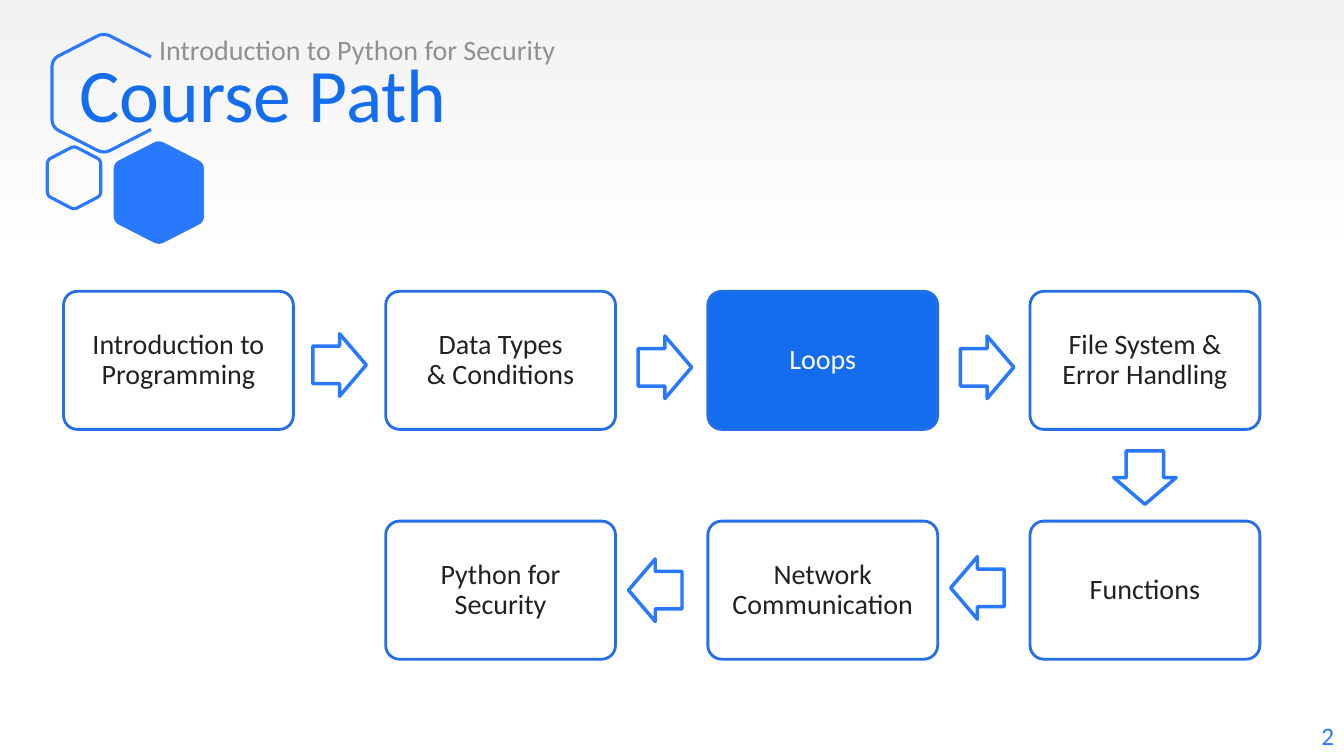
import dataclasses
import typing

import pptx
import pptx.dml.color
import pptx.enum.shapes
import pptx.enum.text
import pptx.util

SHAPES = pptx.enum.shapes.MSO_SHAPE
ALIGN = pptx.enum.text.PP_ALIGN
ANCHOR = pptx.enum.text.MSO_ANCHOR
Point = tuple[float, float]

SLIDE_WIDTH = pptx.util.Inches(13.33)
SLIDE_HEIGHT = pptx.util.Inches(7.5)
FONT = "Calibri"
BRIGHT = "2979FF"
STRONG = "136DEE"
BORDER = "256EE7"
WHITE = "FFFFFF"
INK = "212121"

FIRST_CENTRE = (13.28, 47.67)
PITCH = (23.97, 30.4)
STEP_SIZE = (17.1, 18.27)
HEXAGON_CORNERS = [(1, 0.56), (0, 1), (-1, 0.56), (-1, -0.56), (0, -1), (1, -0.56)]
CORNER_SHARE = 0.13
OPEN_END = 0.91


@dataclasses.dataclass(frozen=True)
class Hexagon:
    centre: Point
    radius: Point
    fill: typing.Optional[str] = None
    line: str = BRIGHT
    is_open: bool = False


@dataclasses.dataclass(frozen=True)
class Label:
    text: str
    place: tuple[float, float, float, float]
    size: int
    colour: str
    align: typing.Any = ALIGN.LEFT
    anchor: typing.Any = ANCHOR.TOP


@dataclasses.dataclass(frozen=True)
class Step:
    lines: tuple[str, ...]
    column: int
    row: int
    is_current: bool = False


@dataclasses.dataclass(frozen=True)
class Arrow:
    kind: typing.Any
    column: float
    row: float


HEXAGONS = [
    Hexagon((7.73, 12.33), (3.86, 8), is_open=True),
    Hexagon((5.51, 23.53), (1.99, 4.2)),
    Hexagon((11.82, 25.47), (3.49, 7.2), fill=BRIGHT, line=WHITE),
]
LABELS = [
    Label("2", (86.87, 94.67, 13.13, 5.33), 18, BRIGHT, align=ALIGN.RIGHT),
    Label("Course Path", (5.18, 4.27, 86.2, 16), 54, STRONG, anchor=ANCHOR.MIDDLE),
    Label("Introduction to Python for Security", (11.1, 3.6, 33.4, 4.8), 20, "909090"),
]
STEPS = [
    Step(("Introduction to Programming",), 0, 0),
    Step(("Data Types", "& Conditions"), 1, 0),
    Step(("Loops",), 2, 0, is_current=True),
    Step(("File System & Error Handling",), 3, 0),
    Step(("Functions",), 3, 1),
    Step(("Network Communication",), 2, 1),
    Step(("Python for Security",), 1, 1),
]
ARROWS = [
    Arrow(SHAPES.RIGHT_ARROW, 0.5, 0.02),
    Arrow(SHAPES.RIGHT_ARROW, 1.51, 0.03),
    Arrow(SHAPES.RIGHT_ARROW, 2.51, 0.03),
    Arrow(SHAPES.DOWN_ARROW, 3, 0.51),
    Arrow(SHAPES.LEFT_ARROW, 2.48, 0.99),
    Arrow(SHAPES.LEFT_ARROW, 1.48, 1),
]


def across(percent: float) -> int:
    return round(SLIDE_WIDTH * percent / 100)


def down(percent: float) -> int:
    return round(SLIDE_HEIGHT * percent / 100)


def colour(value: str) -> pptx.dml.color.RGBColor:
    return pptx.dml.color.RGBColor.from_string(value)


def paint(shape, fill: typing.Optional[str], line: str, weight: float) -> None:
    shape.shadow.inherit = False
    if fill:
        shape.fill.solid()
        shape.fill.fore_color.rgb = colour(fill)
    else:
        shape.fill.background()
    shape.line.color.rgb = colour(line)
    shape.line.width = pptx.util.Pt(weight)


def add_span(para, text: str, size: int, value: str) -> None:
    span = para.add_run()
    span.text = text
    span.font.name = FONT
    span.font.size = pptx.util.Pt(size)
    span.font.color.rgb = colour(value)


def between(start: Point, end: Point, share: float) -> Point:
    return tuple(a + (b - a) * share for a, b in zip(start, end))


def rounded_corner(before: Point, corner: Point, after: Point) -> list[Point]:
    start = between(corner, before, CORNER_SHARE)
    end = between(corner, after, CORNER_SHARE)
    shares = [index / 6 for index in range(7)]
    return [
        between(between(start, corner, share), between(corner, end, share), share)
        for share in shares
    ]


def hexagon_outline(is_open: bool) -> list[Point]:
    corners = HEXAGON_CORNERS
    curves = [
        rounded_corner(corners[index - 1], corner, corners[(index + 1) % 6])
        for index, corner in enumerate(corners)
    ]
    if is_open:
        curves[0] = [between(corners[1], corners[0], OPEN_END)]
        curves[-1] = [between(corners[-2], corners[-1], OPEN_END)]
    return [point for curve in curves for point in curve]


def draw_hexagon(page, hexagon: Hexagon) -> None:
    points = [
        (
            across(hexagon.centre[0] + x * hexagon.radius[0]),
            down(hexagon.centre[1] + y * hexagon.radius[1]),
        )
        for x, y in hexagon_outline(hexagon.is_open)
    ]
    builder = page.shapes.build_freeform(*points[0])
    builder.add_line_segments(points[1:], close=not hexagon.is_open)
    paint(builder.convert_to_shape(), hexagon.fill, hexagon.line, 2.25)


def draw_label(page, label: Label) -> None:
    left, top, width, height = label.place
    box = page.shapes.add_textbox(across(left), down(top), across(width), down(height))
    box.text_frame.word_wrap = True
    box.text_frame.vertical_anchor = label.anchor
    para = box.text_frame.paragraphs[0]
    para.alignment = label.align
    add_span(para, label.text, label.size, label.colour)


def add_on_grid(page, kind, column: float, row: float, size: Point):
    width, height = size
    left = FIRST_CENTRE[0] + column * PITCH[0] - width / 2
    top = FIRST_CENTRE[1] + row * PITCH[1] - height / 2
    return page.shapes.add_shape(kind, across(left), down(top), across(width), down(height))


def draw_step(page, step: Step) -> None:
    box = add_on_grid(page, SHAPES.ROUNDED_RECTANGLE, step.column, step.row, STEP_SIZE)
    box.adjustments[0] = 0.1
    paint(box, STRONG if step.is_current else WHITE, BORDER, 2)
    frame = box.text_frame
    frame.word_wrap = True
    frame.vertical_anchor = ANCHOR.MIDDLE
    frame.margin_left = frame.margin_right = pptx.util.Inches(0.12)
    frame.margin_top = frame.margin_bottom = pptx.util.Inches(0.12)
    para = frame.paragraphs[0]
    para.alignment = ALIGN.CENTER
    para.line_spacing = 0.9
    for index, line in enumerate(step.lines):
        if index:
            para.add_line_break()
        add_span(para, line, 20, WHITE if step.is_current else INK)


def draw_arrow(page, arrow: Arrow) -> None:
    size = (4.65, 7.07) if arrow.kind == SHAPES.DOWN_ARROW else (3.98, 8.27)
    shape = add_on_grid(page, arrow.kind, arrow.column, arrow.row, size)
    shape.adjustments[0] = 0.6
    shape.adjustments[1] = 0.5
    paint(shape, None, BRIGHT, 2.5)


def main() -> None:
    deck = pptx.Presentation()
    deck.slide_width = SLIDE_WIDTH
    deck.slide_height = SLIDE_HEIGHT
    page = deck.slides.add_slide(deck.slide_layouts[6])
    backdrop = page.background.fill
    backdrop.gradient()
    backdrop.gradient_angle = 270
    for stop, position, value in zip(backdrop.gradient_stops, (0, 0.37), ("F2F2F2", WHITE)):
        stop.position = position
        stop.color.rgb = colour(value)
    for draw, items in (
        (draw_hexagon, HEXAGONS),
        (draw_label, LABELS),
        (draw_step, STEPS),
        (draw_arrow, ARROWS),
    ):
        for item in items:
            draw(page, item)
    deck.save("out.pptx")


if __name__ == "__main__":
    main()
